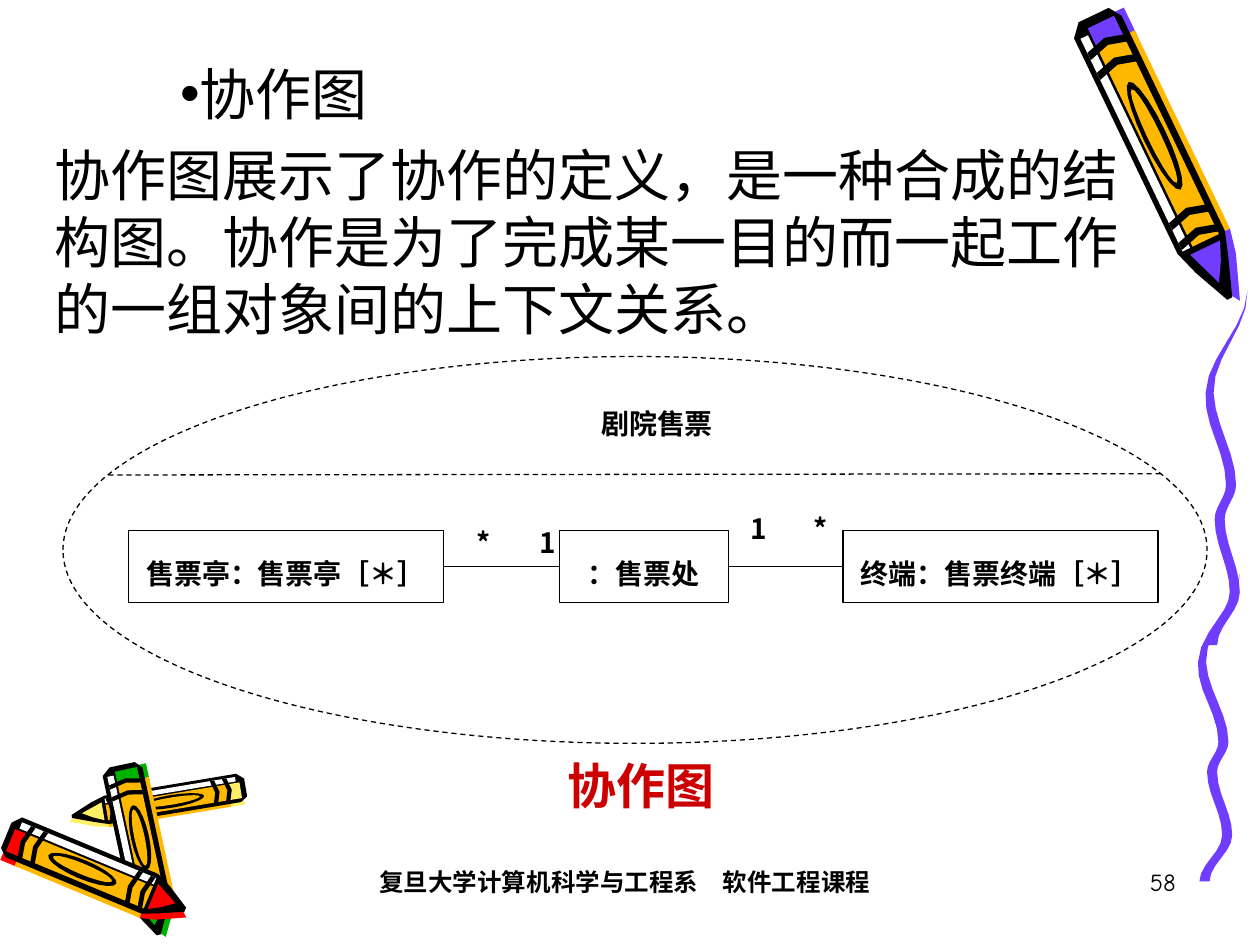
from math import cos, hypot, pi, sin

from pptx import Presentation
from pptx.dml.color import RGBColor
from pptx.enum.dml import MSO_LINE
from pptx.enum.shapes import MSO_CONNECTOR, MSO_SHAPE
from pptx.enum.text import MSO_ANCHOR, MSO_AUTO_SIZE, PP_ALIGN
from pptx.oxml.ns import qn
from pptx.util import Inches, Pt

BLACK = RGBColor(0x00, 0x00, 0x00)
WHITE = RGBColor(0xFF, 0xFF, 0xFF)
PURPLE = RGBColor(0x70, 0x3D, 0xFF)
AMBER = RGBColor(0xFF, 0xB8, 0x00)
YELLOW = RGBColor(0xFF, 0xEF, 0x66)
RED = RGBColor(0xFF, 0x00, 0x00)
GREEN = RGBColor(0x00, 0xB2, 0x00)
CRIMSON = RGBColor(0xCC, 0x00, 0x00)

LEFT, CENTER, RIGHT = PP_ALIGN.LEFT, PP_ALIGN.CENTER, PP_ALIGN.RIGHT
TOP, MIDDLE = MSO_ANCHOR.TOP, MSO_ANCHOR.MIDDLE
NO_FIT = MSO_AUTO_SIZE.NONE
RECT, OVAL = MSO_SHAPE.RECTANGLE, MSO_SHAPE.OVAL
STRAIGHT, DASH = MSO_CONNECTOR.STRAIGHT, MSO_LINE.DASH

COLS, ROWS = 1000, 750  # fine grid over the slide; every length is in its cells
SANS, COMIC = "Noto Sans CJK SC", "Comic Neue"


def strip(u0, u1, v0, v1):
    return [(u0, v0), (u1, v0), (u1, v1), (u0, v1)]


def ellipse(u, v, ru, rv, steps=20):
    angles = [2 * pi * i / steps for i in range(steps)]
    return [(u + ru * cos(a), v + rv * sin(a)) for a in angles]


def wave(turns, steps=6):
    """Ease from one turning point to the next along a cosine."""
    points = [turns[0]]
    for (x0, y0), (x1, y1) in zip(turns, turns[1:]):
        for i in range(1, steps + 1):
            t = i / steps
            points.append((x0 + (x1 - x0) * (1 - cos(pi * t)) / 2, y0 + (y1 - y0) * t))
    return points


class Deck:
    def __init__(self):
        self.prs = Presentation()
        self.prs.slide_width, self.prs.slide_height = Inches(10), Inches(7.5)
        self.cell_w = self.prs.slide_width // COLS
        self.cell_h = self.prs.slide_height // ROWS
        self.s = self.prs.slides.add_slide(self.prs.slide_layouts[1])
        title = self.s.shapes.title._element
        title.getparent().remove(title)

    def grid(self, *cells):
        """Turn alternating columns and rows into slide lengths."""
        return [round(n * (self.cell_h if i % 2 else self.cell_w)) for i, n in enumerate(cells)]

    def paint(self, fill, color):
        if color is None:
            fill.background()
        else:
            fill.solid()
            fill.fore_color.rgb = color

    def polygon(self, points, color):
        corners = [self.grid(*point) for point in points]
        builder = self.s.shapes.build_freeform(*corners[0])
        builder.add_line_segments(corners[1:], close=True)
        sp = builder.convert_to_shape()
        sp.shadow.inherit = False
        self.paint(sp.fill, color)
        sp.line.fill.background()

    def crayon(self, end, tip, half, cap_color, tip_color):
        """Draw a crayon in its own axes: u from blunt end 0 to tip 1, v from lit side -1 to 1."""
        dx, dy = tip[0] - end[0], tip[1] - end[1]
        length = hypot(dx, dy)

        def part(color, points):
            self.polygon([(end[0] + u * dx + v * half * dy / length,
                           end[1] + u * dy - v * half * dx / length) for u, v in points], color)

        shoulder = 0.8
        part(cap_color, strip(0.02, 0.12, -0.5, 1.1))
        part(AMBER, strip(0.1, shoulder, -0.5, 1.1))
        part(tip_color, [(shoulder, -0.5), (shoulder, 1.1), (0.88, 0.9), (1.02, 0.3), (0.98, 0)])
        part(BLACK, [(0.04, -1), (0, -0.6), (0, 0.6), (0.04, 0.9), (shoulder, 0.9), (0.88, 0.6),
                     (1, 0.1), (1, -0.1), (0.88, -0.7), (shoulder, -1)])
        part(WHITE, strip(0.05, shoulder, -0.8, -0.5))
        part(cap_color, strip(0.03, 0.1, -0.4, 0.65))
        part(AMBER, strip(0.1, shoulder, -0.4, 0.65))
        part(tip_color, [(shoulder + 0.02, -0.6), (shoulder + 0.02, 0.6), (0.88, 0.3), (0.94, -0.1)])
        for u in (0.1, 0.17, 0.7, 0.77):
            part(BLACK, [(u, -0.8), (u - 0.02, 0), (u, 0.8), (u + 0.025, 0.8), (u + 0.005, 0), (u + 0.025, -0.8)])
        part(BLACK, ellipse(0.43, 0.1, 0.19, 0.42))
        part(AMBER, ellipse(0.43, 0.08, 0.165, 0.24))

    def ribbon(self, turns, half):
        """Draw a band along a wave, thin at its start."""
        middle = wave(turns)
        last = len(middle) - 1
        widths = [half * min(1, 4 * i / last) for i in range(last + 1)]
        left = [(x - w, y) for (x, y), w in zip(middle, widths)]
        right = [(x + w, y) for (x, y), w in zip(middle, widths)]
        self.polygon(left + right[::-1], PURPLE)

    def run(self, p, text, size, color=BLACK, bold=False, font=SANS):
        r = p.add_run()
        r.text = text
        r.font.size, r.font.bold, r.font.name = Pt(size), bold, font
        r.font.color.rgb = color
        r._r.get_or_add_rPr().find(qn("a:latin")).addnext(
            r._r.makeelement(qn("a:ea"), {"typeface": SANS}))

    def body(self, at, heading, text):
        sp = self.s.placeholders[1]
        sp.left, sp.top, sp.width, sp.height = self.grid(*at)
        tf = sp.text_frame
        tf.auto_size = NO_FIT
        for p, words, bullet, indent, before in (
                (tf.paragraphs[0], heading, ("a:buChar", {"char": "•"}), 50, 0),
                (tf.add_paragraph(), text, ("a:buNone", {}), 0, 8)):
            pPr = p._p.get_or_add_pPr()
            for side in ("marL", "indent"):
                pPr.set(side, str(indent * self.cell_w))
            pPr.append(pPr.makeelement(qn(bullet[0]), bullet[1]))
            p.space_before = Pt(before)
            self.run(p, words, 32)

    def text(self, at, words, size=16, align=CENTER, anchor=MIDDLE, bold=True, color=BLACK, font=SANS):
        tf = self.s.shapes.add_textbox(*self.grid(*at)).text_frame
        tf.word_wrap, tf.vertical_anchor = True, anchor
        p = tf.paragraphs[0]
        p.alignment = align
        self.run(p, words, size, color, bold, font)
        return p

    def multiplicity(self, at, near, far, indent, stop):
        """Label both ends of an association, the second one at a tab stop."""
        p = self.text(at, f"{near}\t{far}", align=LEFT)
        pPr = p._p.get_or_add_pPr()
        pPr.set("marL", str(indent * self.cell_w))
        pPr.set("indent", "0")
        tabs = pPr.makeelement(qn("a:tabLst"), {})
        tabs.append(tabs.makeelement(qn("a:tab"), {"pos": str(stop * self.cell_w), "algn": "l"}))
        pPr.append(tabs)

    def shape(self, kind, at, words="", fill=WHITE, line=BLACK, dash=None, spacing=None):
        sp = self.s.shapes.add_shape(kind, *self.grid(*at))
        sp.shadow.inherit = False
        self.paint(sp.fill, fill)
        self.paint(sp.line.fill, line)
        if line is not None:
            sp.line.width, sp.line.dash_style = Pt(0.75), dash
        if words:
            tf = sp.text_frame
            tf.vertical_anchor = MIDDLE
            p = tf.paragraphs[0]
            p.alignment, p.line_spacing = CENTER, spacing
            self.run(p, words, 16, bold=True)
        return sp

    def line(self, ends, dash=None):
        cx = self.s.shapes.add_connector(STRAIGHT, *self.grid(*ends))
        cx.line.color.rgb = BLACK
        cx.line.width, cx.line.dash_style = Pt(0.75), dash
        spPr = cx._element.spPr
        spPr.append(spPr.makeelement(qn("a:effectLst"), {}))
        return cx

    def associate(self, a, b):
        cx = self.line((0, 0, 0, 0))
        cx.begin_connect(a, 3)
        cx.end_connect(b, 1)


def decorate(d):
    """Crayons in two corners, and one squiggle repeated down the right edge."""
    d.crayon((868, 12), (976, 237), 22, PURPLE, PURPLE)
    d.crayon((195, 625), (57, 648), 12, YELLOW, YELLOW)
    d.crayon((97, 607), (126, 742), 17, GREEN, GREEN)
    d.crayon((5, 663), (147, 722), -18, RED, RED)  # negative half width: lit from above
    turns = [(990, 231), (960, 312), (977, 385), (968, 412), (980, 470), (962, 512)]
    top = turns[0][1]
    for shift, start, scale in ((-6, 455, 0.87), (0, top, 1)):
        d.ribbon([(x + shift, start + (y - top) * scale) for x, y in turns], 4)


def main():
    d = Deck()
    decorate(d)
    d.body((33, 42, 900, 658), "协作图",
           "协作图展示了协作的定义，是一种合成的结构图。协作是为了完成某一目的而一起工作的一组对象间的上下文关系。")

    d.shape(RECT, (442, 307, 159, 58), "剧院售票", line=None)
    d.multiplicity((351, 402, 114, 57), "*", "1", indent=17, stop=64)
    d.multiplicity((573, 391, 114, 57), "1", "*", indent=13, stop=75)
    roles = [d.shape(RECT, (x, 421, w, 57), words, spacing=1.44) for x, w, words in (
        (102, 250, "售票亭：售票亭［＊］"), (444, 134, "：售票处"), (669, 250, "终端：售票终端［＊］"))]
    for a, b in zip(roles, roles[1:]):
        d.associate(a, b)
    d.shape(OVAL, (50, 283, 908, 307), fill=None, dash=DASH)
    d.line((86, 377, 921, 376), dash=DASH)
    d.text((384, 588, 250, 70), "协作图", 28, color=CRIMSON)

    d.text((200, 683, 592, 50), "复旦大学计算机科学与工程系　软件工程课程", 14, anchor=TOP, font=COMIC)
    d.text((735, 683, 208, 50), "58", 14, RIGHT, TOP, bold=False, font=COMIC)
    d.prs.save("out.pptx")


if __name__ == "__main__":
    main()
